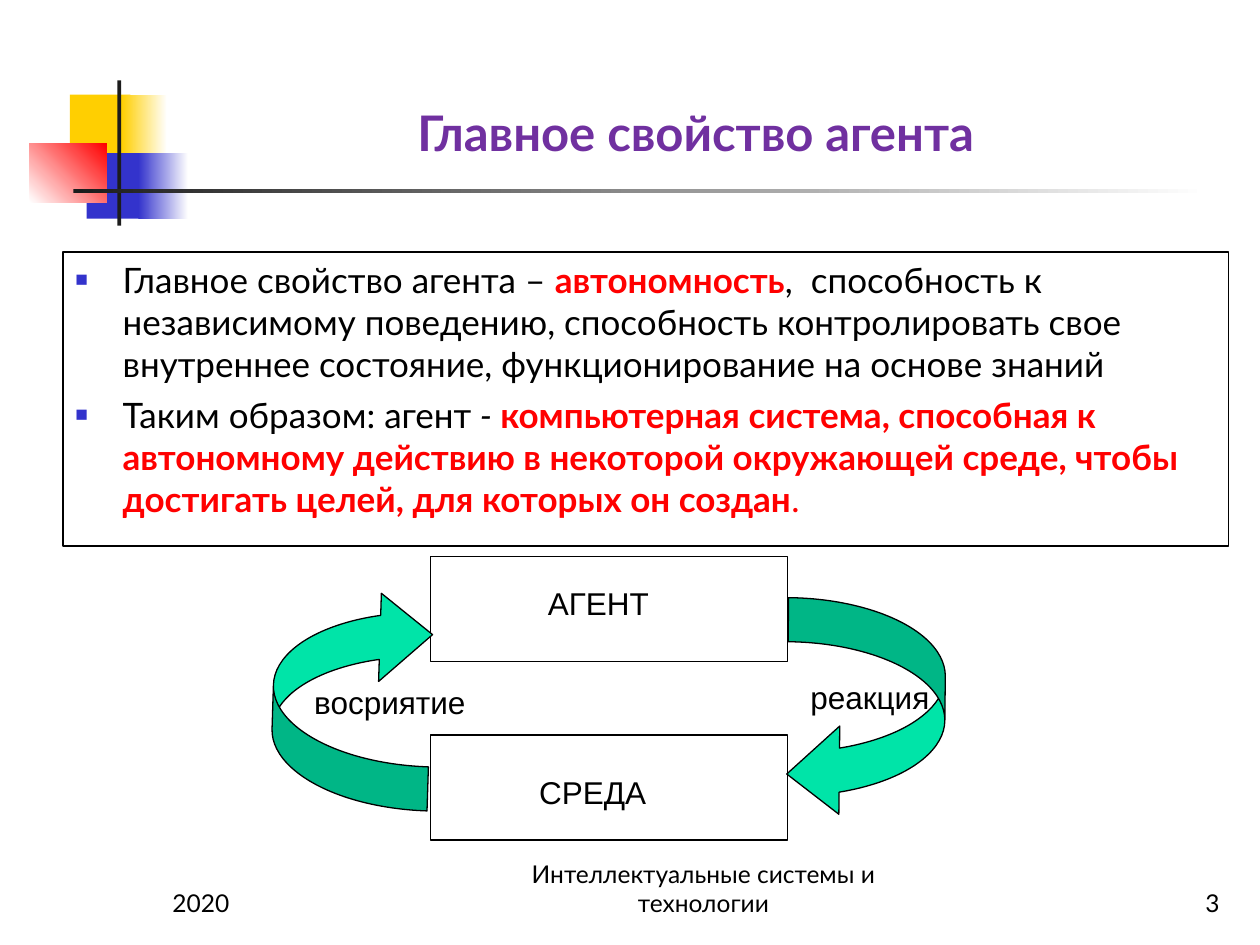
from lxml import etree
from pptx import Presentation
from pptx.dml.color import RGBColor
from pptx.enum import shapes, text
from pptx.oxml.ns import qn
from pptx.util import Pt

COLORS = {
    "yellow": "FFCF01", "blue": "3333CC", "red": "FF0000", "white": "FFFFFF",
    "dark": "1C1C1C", "black": "000000", "title": "7030A0", "arrow": "00E4A8",
}
RECT = shapes.MSO_SHAPE.RECTANGLE
ALIGN = text.PP_ALIGN
ANCHOR = text.MSO_ANCHOR


def rgb(name):
    return RGBColor.from_string(COLORS[name])


def style_run(run, size, font, color="black", bold=False, italic=False):
    run.font.size = Pt(size)
    run.font.name = font
    run.font.color.rgb = rgb(color)
    run.font.bold = bold
    run.font.italic = italic


def add_block(slide, box, fill=None, fade_to=None, angle=0, outline=False, preset=RECT):
    block = slide.shapes.add_shape(preset, *map(Pt, box))
    block.shadow.inherit = False
    if fade_to:
        block.fill.gradient()
        block.fill.gradient_angle = angle
        for stop, color in zip(block.fill.gradient_stops, (fill, fade_to)):
            stop.color.rgb = rgb(color)
    elif fill:
        block.fill.solid()
        block.fill.fore_color.rgb = rgb(fill)
    else:
        block.fill.background()
    if outline:
        block.line.color.rgb = rgb("black")
        block.line.width = Pt(0.75)
    else:
        block.line.fill.background()
    return block


def add_label(slide, box, words, size, font, color="black", bold=False,
              align=ALIGN.LEFT, anchor=ANCHOR.TOP, wrap=True):
    label = slide.shapes.add_textbox(*map(Pt, box))
    frame = label.text_frame
    frame.word_wrap = wrap
    if not wrap:
        frame.auto_size = text.MSO_AUTO_SIZE.SHAPE_TO_FIT_TEXT
    frame.vertical_anchor = anchor
    frame.text = words
    frame.paragraphs[0].alignment = align
    style_run(frame.paragraphs[0].runs[0], size, font, color, bold)


def add_ornament(slide, box):
    left, top, width, _ = box
    parts = [  # offset and size, fill, fade, angle
        ((23, 8, 34.5, 37.5), "yellow", None, 0),
        ((52.5, 8, 26, 37.5), "yellow", "white", 0),
        ((32.5, 41.5, 33, 37.5), "blue", None, 0),
        ((62, 41.5, 28.5, 37.5), "blue", "white", 0),
        ((0, 36, 44, 33.5), "white", "red", 45),
        ((50, 0, 2.3, 83), "dark", None, 0),
        ((25, 62, width - 25, 2.3), "dark", "white", 0),
    ]
    for (x, y, w, h), fill, fade, angle in parts:
        add_block(slide, (left + x, top + y, w, h), fill, fade, angle)


def add_bullet(paragraph):
    props = paragraph._p.get_or_add_pPr()
    props.set("marL", str(Pt(27)))
    props.set("indent", str(-Pt(27)))
    color = etree.SubElement(props, qn("a:buClr"))
    etree.SubElement(color, qn("a:srgbClr"), val=COLORS["blue"])
    etree.SubElement(props, qn("a:buSzPct"), val="60000")
    etree.SubElement(props, qn("a:buFont"), typeface="Arial")
    etree.SubElement(props, qn("a:buChar"), char="■")


def add_definition(slide, box):
    accent = {"color": "red", "bold": True}
    bullets = [
        [("Главное свойство агента – ", {}),
         ("автономность", accent),
         (",  способность к независимому поведению, способность контролировать "
          "свое внутреннее состояние, функционирование на основе знаний", {})],
        [("Таким образом: агент", {}),
         (" - ", {"italic": True}),
         ("компьютерная система, способная к автономному действию в некоторой "
          "окружающей среде, чтобы достигать целей, для которых он создан", accent),
         (".", {"color": "red"})],
    ]
    frame = add_block(slide, box, "white", outline=True).text_frame
    frame.word_wrap = True
    frame.vertical_anchor = ANCHOR.TOP
    for index, pieces in enumerate(bullets):
        paragraph = frame.add_paragraph() if index else frame.paragraphs[0]
        paragraph.alignment = ALIGN.LEFT
        paragraph.space_before = Pt(5)
        add_bullet(paragraph)
        for words, look in pieces:
            run = paragraph.add_run()
            run.text = words
            style_run(run, 20, "Lato", **look)


def add_cycle(slide, box):
    left, top, width, _ = box
    arrow_width, arrow_height = 90, 126
    node_left, node_width = left + arrow_width, width - 2 * arrow_width

    # Agent and environment
    for y in (0, 102):
        add_block(slide, (node_left, top + y, node_width, 60), outline=True)
    add_label(slide, (node_left + 60, top + 12, 90, 29), "АГЕНТ", 18, "Arial")
    add_label(slide, (node_left + 55, top + 120, 100, 29), "СРЕДА", 18, "Arial")

    # Perception on the left, reaction on the right
    for x, y, turn in ((0, 18, 181.8), (width - arrow_width, 24, 0.6)):
        arrow = add_block(slide, (left + x, top + y, arrow_width, arrow_height), "arrow",
                          outline=True, preset=shapes.MSO_SHAPE.CURVED_LEFT_ARROW)
        arrow.rotation = turn
        for index, value in enumerate((0.28, 0.56, 0.3333)):
            arrow.adjustments[index] = value
    add_label(slide, (left + 16.5, top + 68.5, 102, 29), "воcриятие", 18, "Arial", wrap=False)
    add_label(slide, (left + 300, top + 66, 84, 29), "реакция", 18, "Arial", wrap=False)


def add_footer(slide, box):
    left, top, width, height = box
    fields = [
        (0, 150, "2020", ALIGN.LEFT),
        (196.5, 228, "Интеллектуальные системы и технологии", ALIGN.CENTER),
        (width - 150, 150, "3", ALIGN.RIGHT),
    ]
    for x, field_width, words, align in fields:
        add_label(slide, (left + x, top, field_width, height), words, 14, "Lato",
                  align=align, anchor=ANCHOR.BOTTOM)


def main():
    deck = Presentation()
    deck.slide_width, deck.slide_height = Pt(720), Pt(540)
    slide = deck.slides.add_slide(deck.slide_layouts[6])
    add_ornament(slide, (17, 46, 673, 83))
    add_label(slide, (91, 16.5, 613, 79), "Главное свойство агента", 28, "Lato",
              "title", True, ALIGN.CENTER, ANCHOR.BOTTOM)
    add_definition(slide, (36, 144, 666, 168))
    add_cycle(slide, (156, 318, 384, 162))
    add_footer(slide, (91.5, 492, 612.5, 36))
    deck.save("out.pptx")


if __name__ == "__main__":
    main()
